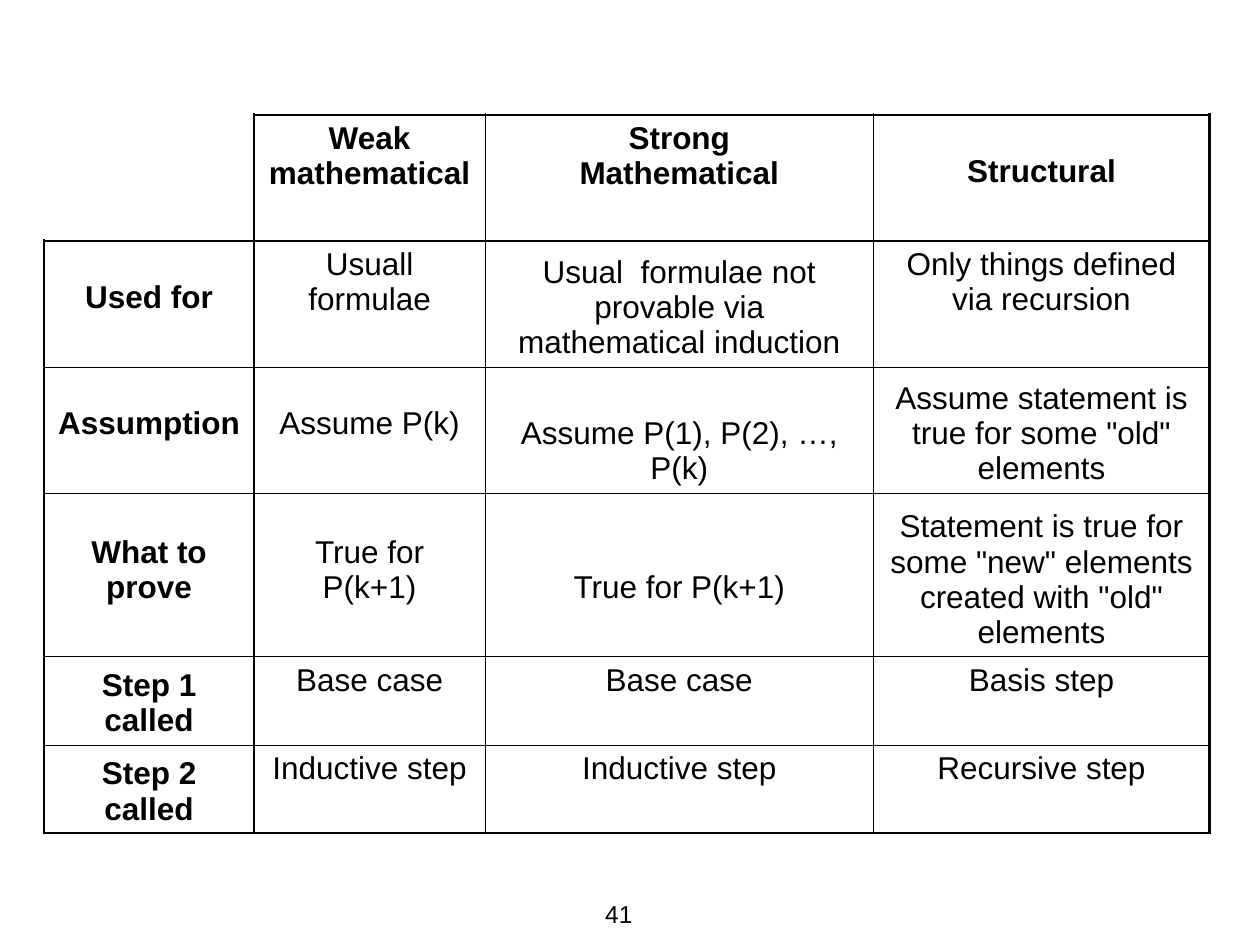
from lxml.etree import SubElement
from pptx import Presentation
from pptx.dml.color import RGBColor
from pptx.enum.text import MSO_ANCHOR, PP_ALIGN
from pptx.oxml.ns import qn
from pptx.util import Pt

THEME = {
    "font": "Arial",
    "ink": "000000",
    "body_size": 18,
    "number_size": 14,
    "heavy": 1.47,
    "thin": 0.23,
}

# Each cell: (text, placement); a line break starts a new paragraph.
ROWS = [
    [("", "bottom"), ("Weak mathematical", "top"),
     ("Strong\nMathematical", "top"), ("Structural", "raised")],
    [("Used for", "raised"), ("Usuall formulae", "top"),
     ("Usual  formulae not provable via mathematical induction", "bottom"),
     ("Only things defined via recursion", "top")],
    [("Assumption", "raised"), ("Assume P(k)", "raised"),
     ("Assume P(1), P(2), …, P(k)", "bottom"),
     ('Assume statement is true for some "old" elements', "bottom")],
    [("What to prove", "raised"), ("True for P(k+1)", "raised"),
     ("True for P(k+1)", "raised"),
     ('Statement is true for some "new" elements created with "old" elements',
      "bottom")],
    [("Step 1 called", "bottom"), ("Base case", "top"),
     ("Base case", "top"), ("Basis step", "top")],
    [("Step 2 called", "bottom"), ("Inductive step", "top"),
     ("Inductive step", "top"), ("Recursive step", "top")],
]
COLUMN_WIDTHS = [120, 132, 222, 192]
ROW_HEIGHTS = [72, 72, 72, 93.6, 50.4, 50.4]
TABLE_LEFT, TABLE_TOP = 25.2, 65.5
PLACEMENTS = {
    "top": {"vertical_anchor": MSO_ANCHOR.TOP, "margin_bottom": Pt(3.6)},
    "bottom": {"vertical_anchor": MSO_ANCHOR.BOTTOM, "margin_bottom": Pt(3.6)},
    "raised": {"vertical_anchor": MSO_ANCHOR.BOTTOM, "margin_bottom": Pt(29.4)},
}
PAGE_NUMBER = "41"
NUMBER_BOX = (320.4, 504, 48.2, 36)


def apply(target, values):
    for name, value in values.items():
        setattr(target, name, value)


def write(frame, text, size, alignment, bold=False):
    frame.text = text
    for paragraph in frame.paragraphs:
        paragraph.alignment = alignment
        for span in paragraph.runs:
            apply(span.font, {"name": THEME["font"], "size": Pt(size), "bold": bold})
            span.font.color.rgb = RGBColor.from_string(THEME["ink"])


def add_border(cell, side, width):
    """Draw one cell edge; a width of None leaves the edge open."""
    line = SubElement(cell._tc.get_or_add_tcPr(), qn(f"a:ln{side}"))
    if width is None:
        SubElement(line, qn("a:noFill"))
        return
    line.set("w", str(int(Pt(width))))
    fill = SubElement(line, qn("a:solidFill"))
    SubElement(fill, qn("a:srgbClr"), val=THEME["ink"])


def border_widths(row, column):
    """Heavy lines frame the table and set off its headings; the corner is open."""
    last_row, last_column = len(ROWS) - 1, len(COLUMN_WIDTHS) - 1
    heavy = {
        "L": column in (0, 1),
        "R": column in (0, last_column),
        "T": row in (0, 1),
        "B": row in (0, last_row),
    }
    widths = {side: THEME["heavy" if on else "thin"] for side, on in heavy.items()}
    if row == column == 0:
        widths.update(L=None, T=None)
    return widths


def add_comparison(page):
    table = page.shapes.add_table(
        len(ROWS), len(COLUMN_WIDTHS), Pt(TABLE_LEFT), Pt(TABLE_TOP),
        Pt(sum(COLUMN_WIDTHS)), Pt(sum(ROW_HEIGHTS))).table
    apply(table, {"first_row": False, "horz_banding": False})
    for column, width in zip(table.columns, COLUMN_WIDTHS):
        column.width = Pt(width)
    for row, height in zip(table.rows, ROW_HEIGHTS):
        row.height = Pt(height)
    for r, row in enumerate(ROWS):
        for c, (text, placement) in enumerate(row):
            cell = table.cell(r, c)
            write(cell.text_frame, text, THEME["body_size"], PP_ALIGN.CENTER,
                  bold=r == 0 or c == 0)
            apply(cell, {"margin_left": Pt(7.2), "margin_right": Pt(7.2),
                         "margin_top": Pt(3.6), **PLACEMENTS[placement]})
            for side, width in border_widths(r, c).items():
                add_border(cell, side, width)
            cell.fill.background()


def add_page_number(page):
    box = page.shapes.add_textbox(*map(Pt, NUMBER_BOX))
    apply(box.text_frame, {"word_wrap": False, "vertical_anchor": MSO_ANCHOR.MIDDLE})
    write(box.text_frame, PAGE_NUMBER, THEME["number_size"], PP_ALIGN.RIGHT)


def main():
    deck = Presentation()
    apply(deck, {"slide_width": Pt(720), "slide_height": Pt(540)})
    page = deck.slides.add_slide(deck.slide_layouts[6])
    add_page_number(page)
    add_comparison(page)
    deck.save("out.pptx")


if __name__ == "__main__":
    main()
